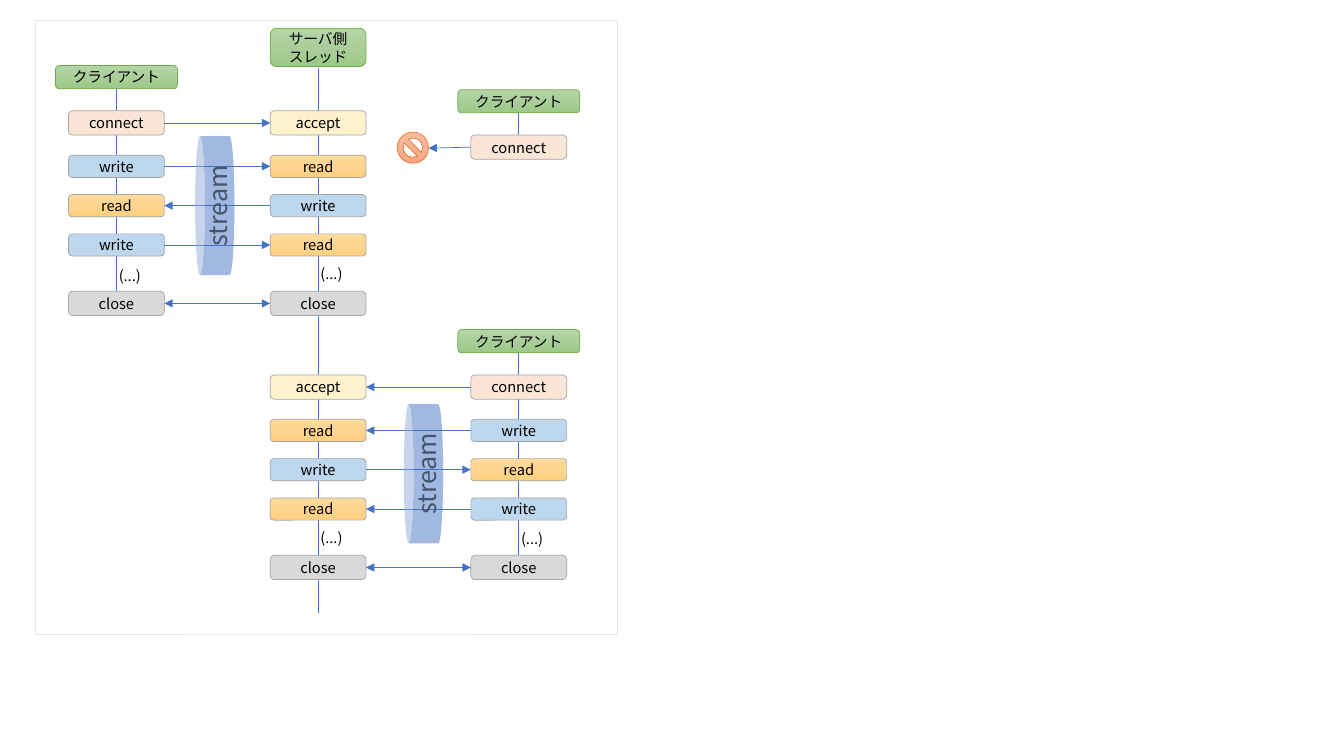
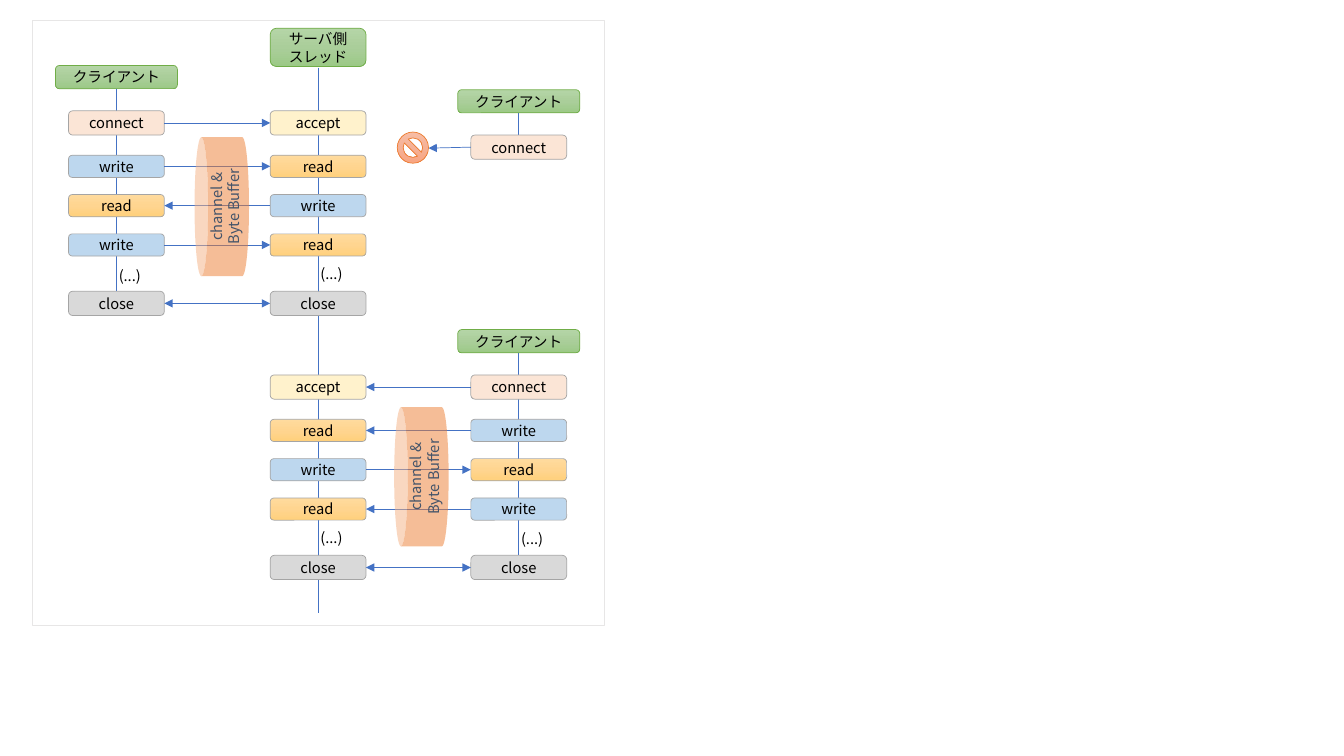
from copy import deepcopy

from pptx import Presentation
from pptx.dml.color import RGBColor
from pptx.enum.shapes import MSO_CONNECTOR, MSO_SHAPE
from pptx.enum.text import MSO_ANCHOR, MSO_AUTO_SIZE, PP_ALIGN
from pptx.oxml.ns import qn
from pptx.util import Inches, Pt
from lxml.etree import SubElement

FONT = "Noto Sans CJK JP"
BLUE, ORANGE, SLATE = "4472C4", "ED7D31", "44546A"
GREY, PALE_GREY, GREEN_LINE, BLACK = "A5A5A5", "E7E6E6", "70AD47", "000000"
GREEN = ("B5D5A7", "AACE9A", "9CC987")
AMBER = ("FFDB9E", "FFD590", "FFD07C")
SALMON = ("F7BDA5", "F5B196", "F8A582")
STEP_FILLS = {"connect": "FBE5D6", "accept": "FFF2CC", "read": AMBER,
              "write": "BDD7EE", "close": "D9D9D9"}
STEP_W, HEAD_W, HEAD_H = 0.95, 1.21, 0.23
LEFT_X, SERVER_X, RIGHT_X = 0.68, 2.68, 4.67
HEAD_RISE = 0.45
STEPS = [("connect", "accept", 0, 0.24), ("write", "read", 0.44, 0.22),
         ("read", "write", 0.83, 0.22), ("write", "read", 1.22, 0.22),
         ("close", "close", 1.79, 0.24)]


def rgb(color):
    """Turn a hex string into a colour."""
    return RGBColor.from_string(color)


def fill_shape(sp, fill, alpha=None):
    """Fill a shape with nothing, one colour or a three-stop gradient."""
    if fill is None:
        sp.fill.background()
    elif isinstance(fill, tuple):
        sp.fill.gradient()
        sp.fill.gradient_angle = 270
        stops = sp._element.spPr.find(".//" + qn("a:gsLst"))
        stops.append(deepcopy(stops[-1]))
        for stop, pos, color in zip(sp.fill.gradient_stops, (0, 0.5, 1), fill):
            stop.position = pos
            stop.color.rgb = rgb(color)
    else:
        sp.fill.solid()
        sp.fill.fore_color.rgb = rgb(fill)
    if alpha:
        color = sp._element.spPr.find(".//" + qn("a:srgbClr"))
        SubElement(color, qn("a:alpha")).set("val", str(alpha * 1000))


def set_text(sp, text, size=10.5, color=BLACK, align=PP_ALIGN.CENTER):
    """Write text into a shape and format its runs."""
    tf = sp.text_frame
    tf.text = text
    for p in tf.paragraphs:
        p.alignment = align
        for r in p.runs:
            r.font.size = Pt(size)
            r.font.name = FONT
            r.font.color.rgb = rgb(color)
            SubElement(r._r.get_or_add_rPr(), qn("a:ea")).set("typeface", FONT)


def add_box(s, kind, x, y, w, h, fill=None, line=None, width=0.5, alpha=None):
    """Add a preset shape with the given fill and outline."""
    sp = s.shapes.add_shape(kind, Inches(x), Inches(y), Inches(w), Inches(h))
    sp.shadow.inherit = False
    fill_shape(sp, fill, alpha)
    if line:
        sp.line.color.rgb = rgb(line)
        sp.line.width = Pt(width)
    else:
        sp.line.fill.background()
    return sp


def add_label_box(s, text, x, y, w, h, fill, line):
    """Add a rounded box with centred text."""
    sp = add_box(s, MSO_SHAPE.ROUNDED_RECTANGLE, x, y, w, h, fill, line)
    sp.text_frame.vertical_anchor = MSO_ANCHOR.MIDDLE
    set_text(sp, text)


def add_step(s, name, x, y, h):
    """Add one call of a thread, coloured by its name."""
    add_label_box(s, name, x, y, STEP_W, h, STEP_FILLS[name], GREY)


def add_line(s, x1, y1, x2, y2, *ends):
    """Add a line with arrowheads at the named ends."""
    cx = s.shapes.add_connector(MSO_CONNECTOR.STRAIGHT, Inches(x1), Inches(y1),
                                Inches(x2), Inches(y2))
    cx.line.color.rgb = rgb(BLUE)
    cx.line.width = Pt(0.5)
    for end in ends:
        SubElement(cx.line._get_or_add_ln(), qn("a:" + end)).set("type", "triangle")
    SubElement(cx._element.spPr, qn("a:effectLst"))


def add_dots(s, x, y):
    """Add the mark for omitted steps beside a lifeline."""
    sp = s.shapes.add_textbox(Inches(x + 0.4), Inches(y), Inches(0.43), Inches(0.28))
    sp.text_frame.word_wrap = False
    sp.text_frame.auto_size = MSO_AUTO_SIZE.SHAPE_TO_FIT_TEXT
    set_text(sp, "(...)", align=PP_ALIGN.LEFT)


def add_client(s, x, top, length):
    """Add a client header and the lifeline that reaches length below top."""
    y = top - HEAD_RISE
    mid = x + STEP_W / 2
    add_line(s, mid, y + HEAD_H, mid, top + length)
    add_label_box(s, "クライアント", x - (HEAD_W - STEP_W) / 2, y, HEAD_W, HEAD_H,
                  GREEN, GREEN_LINE)


def add_session(s, x, top, dots_y):
    """Add a client's whole exchange with the server."""
    add_client(s, x, top, STEPS[-1][2])
    if x < SERVER_X:
        client_edge, server_edge = x + STEP_W, SERVER_X
    else:
        client_edge, server_edge = x, SERVER_X + STEP_W
    for client_step, server_step, dy, h in STEPS:
        y = top + dy
        add_step(s, client_step, x, y, h)
        add_step(s, server_step, SERVER_X, y, h)
        start, end = client_edge, server_edge
        if client_step == "read":
            start, end = end, start
        ends = ("headEnd", "tailEnd") if client_step == "close" else ("tailEnd",)
        add_line(s, start, y + h / 2, end, y + h / 2, *ends)
    add_dots(s, x, dots_y)
    add_dots(s, SERVER_X, top + 1.48)


def add_refused_client(s, top):
    """Add the client whose connection is not accepted."""
    add_client(s, RIGHT_X, top, 0)
    add_step(s, "connect", RIGHT_X, top, 0.24)
    add_line(s, RIGHT_X, top + 0.12, 4.25, top + 0.13, "tailEnd")
    add_box(s, MSO_SHAPE.NO_SYMBOL, 3.94, 1.31, 0.31, 0.31, SALMON, ORANGE)


def add_pipe(s, text, cx, cy, h, fill, size):
    """Add a translucent upright pipe centred on a point."""
    w = 1.38
    sp = add_box(s, MSO_SHAPE.CAN, cx - w / 2, cy - h / 2, w, h, fill, alpha=50)
    sp.rotation = 270
    sp.text_frame.vertical_anchor = MSO_ANCHOR.MIDDLE
    set_text(sp, text, size, SLATE)


def add_sequence(prs, frame, text, centres, pipe_h, fill, size):
    """Add a slide with the sequence diagram and its pipes."""
    s = prs.slides.add_slide(prs.slide_layouts[6])
    add_box(s, MSO_SHAPE.RECTANGLE, *frame, line=PALE_GREY, width=0.25)
    mid = SERVER_X + STEP_W / 2
    add_line(s, mid, 0.67, mid, 6.08)
    add_label_box(s, "サーバ側\nスレッド", SERVER_X, 0.28, STEP_W, 0.38, GREEN, GREEN_LINE)
    add_session(s, LEFT_X, 1.1, 2.6)
    add_session(s, RIGHT_X, 3.72, 5.21)
    add_refused_client(s, 1.34)
    for cx, cy in centres:
        add_pipe(s, text, cx, cy, pipe_h, fill, size)


def main():
    """Build and save the deck."""
    prs = Presentation()
    prs.slide_width, prs.slide_height = Inches(13.33), Inches(7.5)
    add_sequence(prs, (0.35, 0.2, 5.77, 6.09), "stream",
                 [(2.13, 2.04), (4.2, 4.7)], 0.39, BLUE, 18)
    add_sequence(prs, (0.32, 0.2, 5.67, 6), "channel &\nByte Buffer",
                 [(2.2, 2.05), (4.18, 4.73)], 0.54, ORANGE, 10.5)
    prs.save("out.pptx")


if __name__ == "__main__":
    main()
